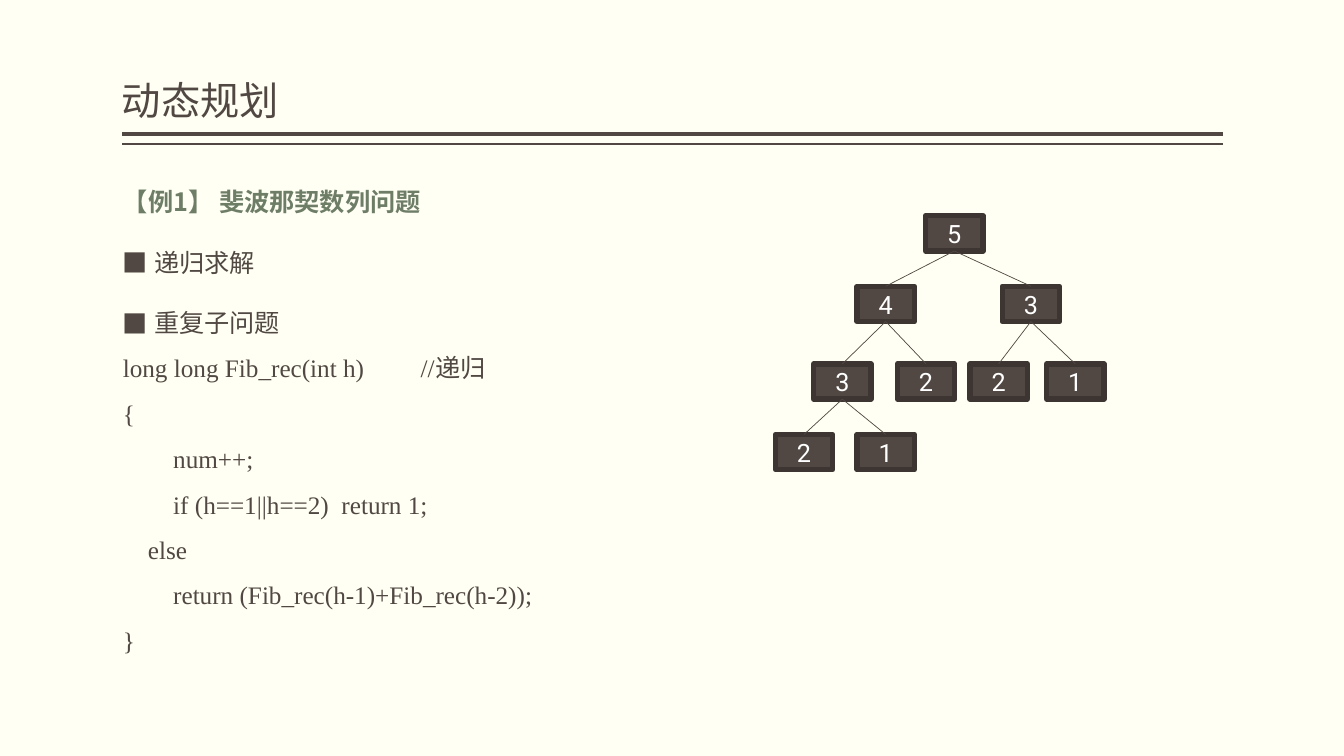
from lxml.etree import SubElement
from pptx import Presentation
from pptx.dml.color import RGBColor
from pptx.enum.shapes import MSO_CONNECTOR as Connector, MSO_SHAPE as Shape
from pptx.enum.text import MSO_ANCHOR as Anchor, PP_ALIGN as Align
from pptx.oxml.ns import qn
from pptx.util import Inches, Pt

COLORS = {
    "paper": "FFFFF3",
    "ink": "514843",
    "border": "3C3532",
    "heading": "6D7D66",
    "white": "FFFFFF",
}
CJK, LATIN, CODE = "Noto Sans CJK SC", "Roboto", "Times New Roman"

TOPICS = ["递归求解", "重复子问题"]
CODE_LINES = [
    "long long Fib_rec(int h)         //递归",
    "{",
    "\tnum++;",
    "\tif (h==1||h==2)  return 1;",
    "    else",
    "\treturn (Fib_rec(h-1)+Fib_rec(h-2));",
    "}",
]

# Recursion tree: left edge, level, value, index of the parent call
NODE_WIDTH, NODE_HEIGHT = 0.57, 0.35
LEVEL_TOPS = [2.14, 2.84, 3.61, 4.31]
CALLS = [
    (9.18, 0, "5", None),
    (8.5, 1, "4", 0),
    (9.94, 1, "3", 0),
    (8.07, 2, "3", 1),
    (8.9, 2, "2", 1),
    (9.62, 2, "2", 2),
    (10.38, 2, "1", 2),
    (7.69, 3, "2", 3),
    (8.5, 3, "1", 3),
]


def color(name):
    return RGBColor.from_string(COLORS[name])


def style_runs(paragraph, size, ink, font=CJK, bold=False):
    for run in paragraph.runs:
        run.font.size = Pt(size)
        run.font.bold = bold
        run.font.color.rgb = color(ink)
        run.font.name = font
        SubElement(run.font._element, qn("a:ea"), typeface=CJK)


def add_line(slide, start, end, width):
    line = slide.shapes.add_connector(
        Connector.STRAIGHT, *(Inches(value) for value in start + end))
    line.line.color.rgb = color("ink")
    line.line.width = Pt(width)
    SubElement(line._element.spPr, qn("a:effectLst"))
    return line


def add_title(slide, text):
    title = slide.shapes.add_textbox(
        Inches(1.21), Inches(0.08), Inches(10.92), Inches(1.2))
    frame = title.text_frame
    frame.word_wrap = True
    frame.vertical_anchor = Anchor.BOTTOM
    frame.margin_left = frame.margin_right = 0
    frame.text = text
    frame.paragraphs[0].line_spacing = 0.9
    style_runs(frame.paragraphs[0], 28, "ink")


def add_bullet(paragraph):
    properties = paragraph._p.get_or_add_pPr()
    properties.set("marL", str(Inches(0.31)))
    properties.set("indent", str(-Inches(0.31)))
    SubElement(properties, qn("a:buFont"), typeface=CJK)
    SubElement(properties, qn("a:buChar"), char="■")


def add_body(slide, heading):
    body = slide.shapes.add_textbox(
        Inches(1.12), Inches(1.5), Inches(11), Inches(5.05))
    frame = body.text_frame
    frame.word_wrap = True
    frame.text = heading
    frame.paragraphs[0].line_spacing = Pt(43.2)
    style_runs(frame.paragraphs[0], 18, "heading", bold=True)

    for topic in TOPICS:
        paragraph = frame.add_paragraph()
        paragraph.text = topic
        add_bullet(paragraph)
        paragraph.line_spacing = Pt(43.2)
        style_runs(paragraph, 18, "ink")

    for code_line in CODE_LINES:
        paragraph = frame.add_paragraph()
        paragraph.text = code_line
        paragraph.line_spacing = Pt(32.4)
        style_runs(paragraph, 18, "ink", CODE)


def add_call(slide, left, top, value):
    call = slide.shapes.add_shape(
        Shape.RECTANGLE, Inches(left), Inches(top),
        Inches(NODE_WIDTH), Inches(NODE_HEIGHT))
    call.shadow.inherit = False
    call.fill.solid()
    call.fill.fore_color.rgb = color("ink")
    call.line.color.rgb = color("border")
    call.line.width = Pt(3.78)
    frame = call.text_frame
    frame.vertical_anchor = Anchor.MIDDLE
    frame.text = value
    frame.paragraphs[0].alignment = Align.CENTER
    style_runs(frame.paragraphs[0], 18, "white", LATIN)
    return call


def add_tree(slide):
    calls = []
    for left, level, value, parent in CALLS:
        call = add_call(slide, left, LEVEL_TOPS[level], value)
        calls.append(call)
        if parent is not None:
            branch = add_line(slide, (0, 0), (1, 1), 0.5)
            branch.begin_connect(calls[parent], 2)
            branch.end_connect(call, 0)


def main():
    deck = Presentation()
    deck.slide_width, deck.slide_height = Inches(13.33), Inches(7.5)
    slide = deck.slides.add_slide(deck.slide_layouts[6])
    slide.background.fill.solid()
    slide.background.fill.fore_color.rgb = color("paper")

    # Title and its double rule
    for height, width in ((1.33, 3), (1.43, 1)):
        add_line(slide, (12.13, height), (1.21, height), width)
    add_title(slide, "动态规划")

    # Example text and recursion tree
    add_body(slide, "【例1】 斐波那契数列问题")
    add_tree(slide)

    deck.save("out.pptx")


if __name__ == "__main__":
    main()
